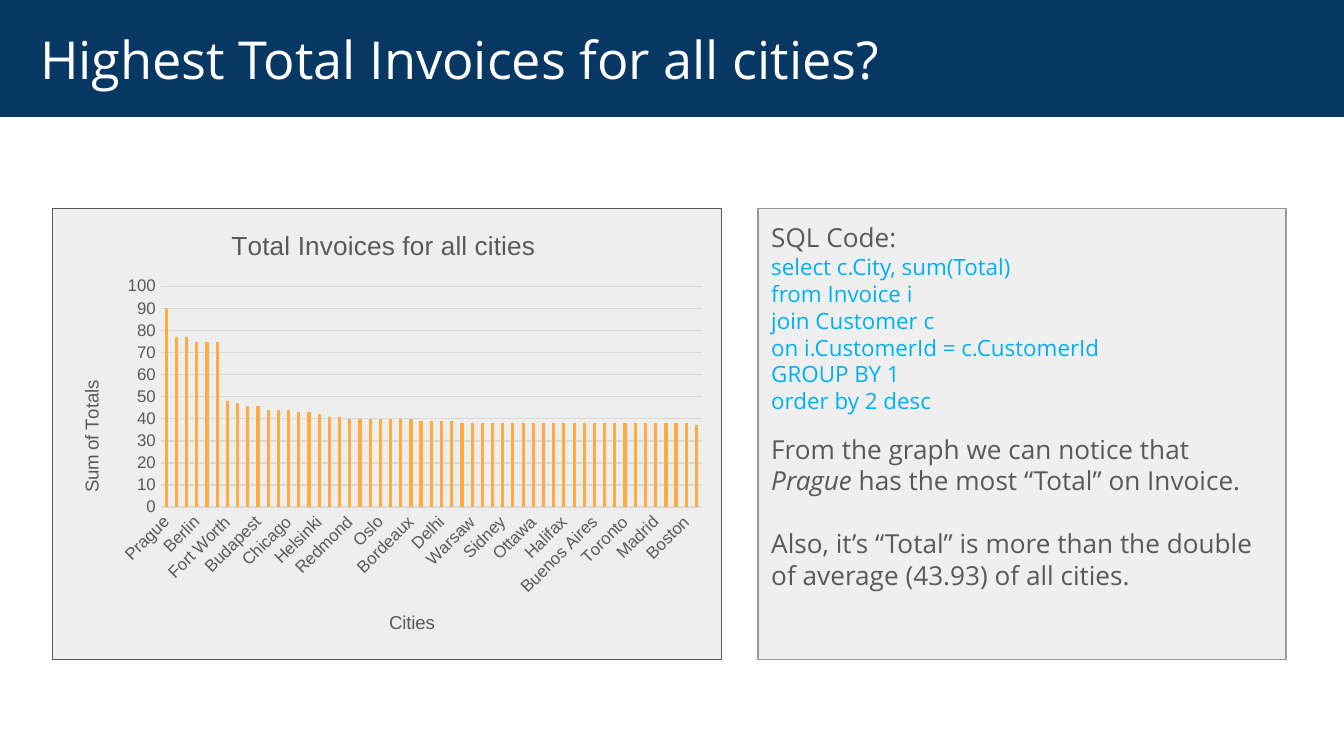
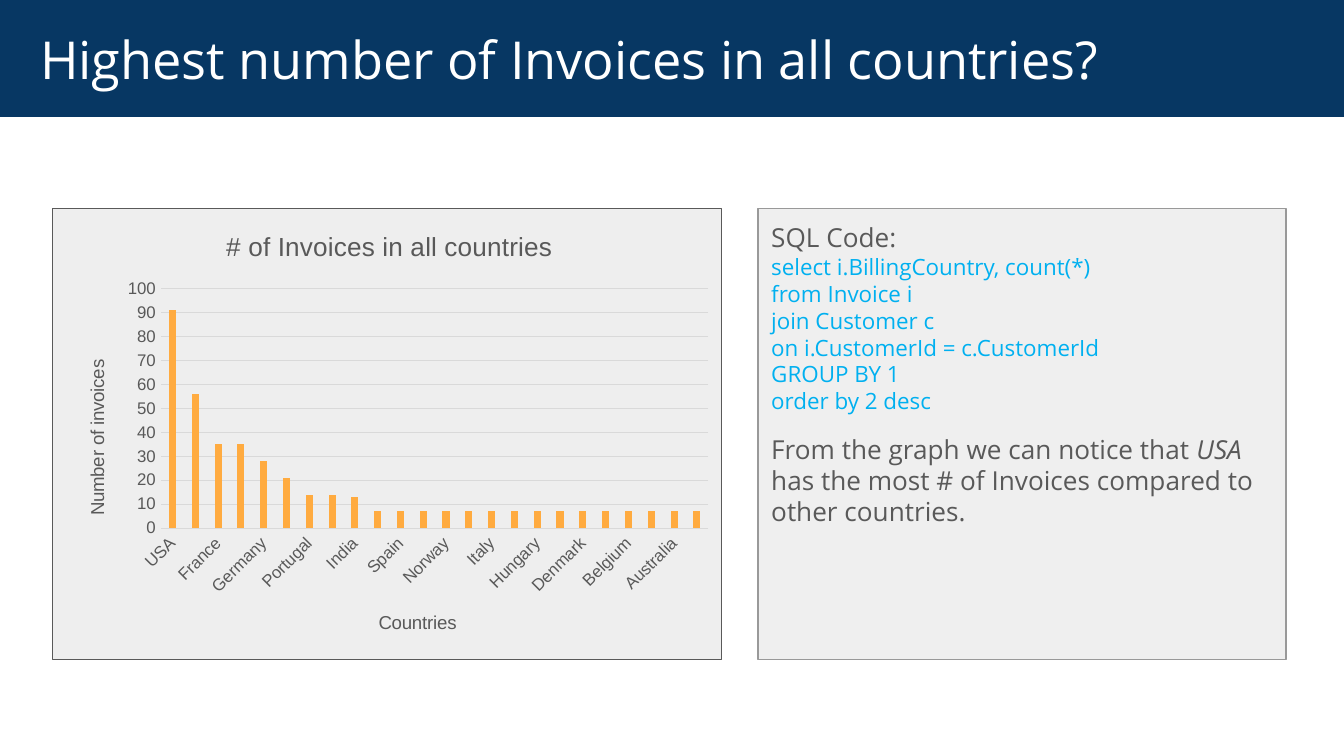
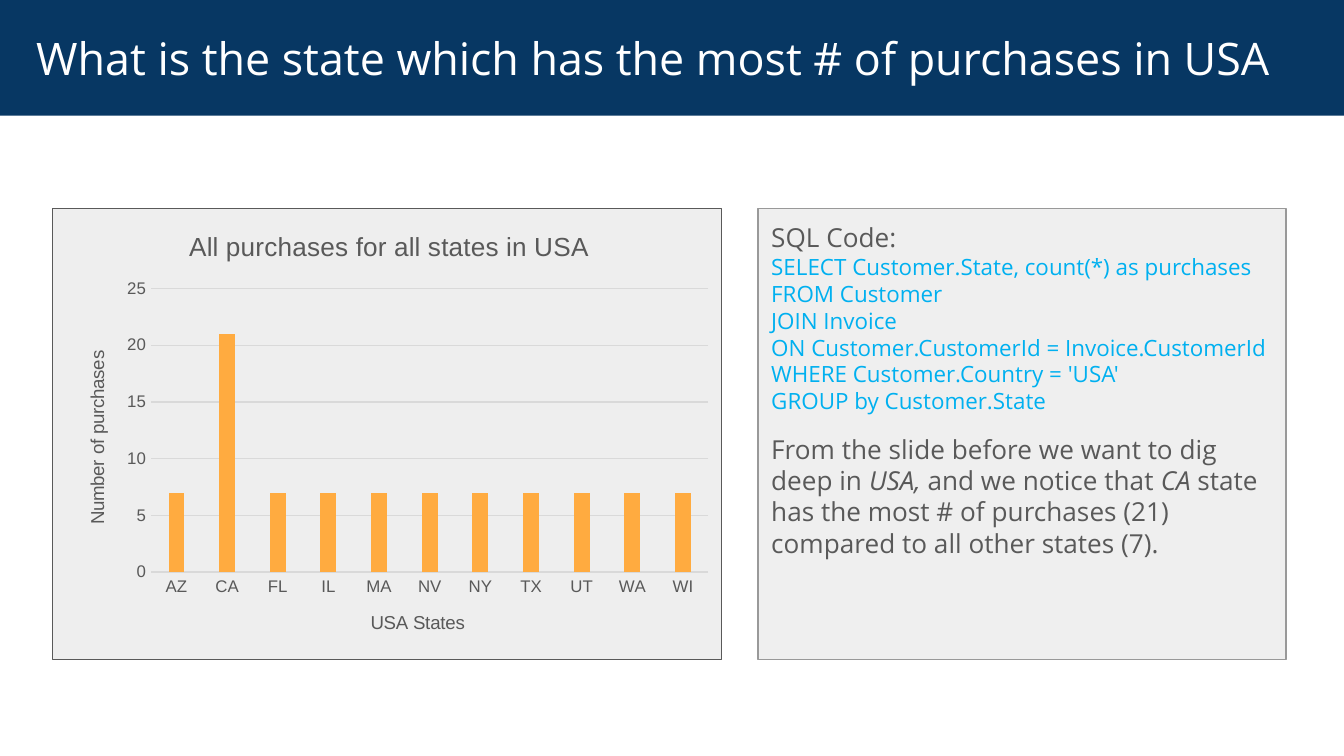
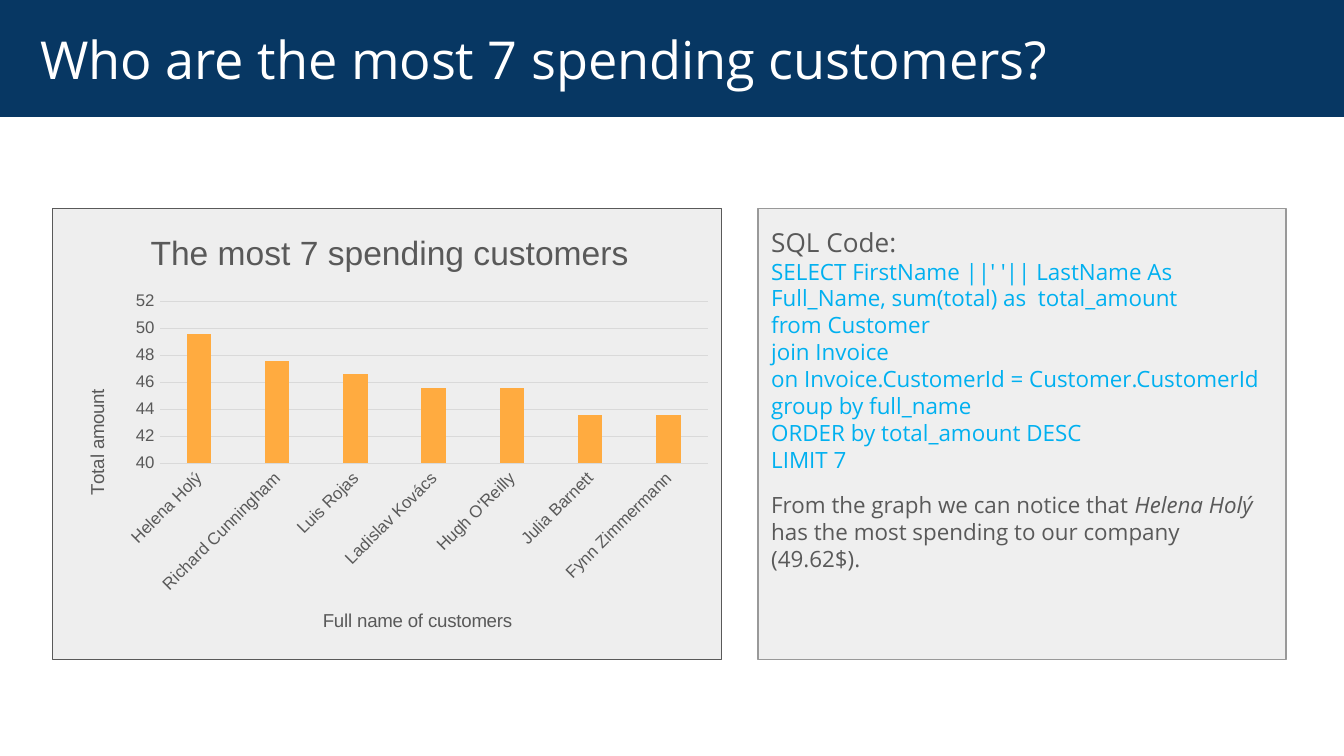
"""Builds four slides, each pairing an invoice column chart with its SQL query and finding."""
from lxml import etree
from pptx import Presentation
from pptx.chart.data import CategoryChartData
from pptx.dml.color import RGBColor
from pptx.enum.chart import XL_CHART_TYPE, XL_TICK_MARK
from pptx.enum.shapes import MSO_SHAPE
from pptx.enum.text import MSO_ANCHOR, PP_ALIGN
from pptx.oxml import parse_xml
from pptx.oxml.ns import nsdecls, qn
from pptx.util import Inches, Pt

COLUMNS = XL_CHART_TYPE.COLUMN_CLUSTERED
NO_TICKS = XL_TICK_MARK.NONE
RECTANGLE = MSO_SHAPE.RECTANGLE
MIDDLE, TOP = MSO_ANCHOR.MIDDLE, MSO_ANCHOR.TOP
LEFT = PP_ALIGN.LEFT

COLORS = {
    "band": "073763", "title": "FFFFFF", "text": "595959", "code": "00B0F0",
    "chart_panel": "EEEEEE", "text_panel": "EFEFEF", "text_border": "999999",
    "grid": "D9D9D9", "column": "FFAB40",
}
HEADING_FONT, CHART_FONT = "Open Sans", "Arial"
SLIDE_WIDTH, SLIDE_HEIGHT = 10, 10 * 9 / 16
PANEL_TOP, PANEL_HEIGHT = 1.55, 3.36
CHART_PANEL_LEFT, CHART_PANEL_WIDTH = 0.39, 4.98
CHART_WIDTH = 4.93
TEXT_PANEL_LEFT, TEXT_PANEL_WIDTH = 5.64, 3.93

CITIES = [
    "Prague", "Paris", "Mountain View", "Berlin", "S\u221a\u00a3o Paulo", "London",
    "Fort Worth", "Santiago", "Dublin", "Budapest", "Salt Lake City", "Frankfurt", "Chicago",
    "Vienne", "Madison", "Helsinki", "Dijon", "Amsterdam", "Redmond", "Lisbon",
    "S\u221a\u00a3o Jos\u221a\u00a9 dos Campos", "Oslo", "Orlando", "Montr\u221a\u00a9al",
    "Bordeaux", "Vancouver", "Stockholm", "Delhi", "Cupertino", "Winnipeg", "Warsaw",
    "Tucson", "Stuttgart", "Sidney", "Rome", "Porto", "Ottawa", "New York", "Lyon",
    "Halifax", "Edmonton", "Copenhagen", "Buenos Aires", "Bras\u221a\u2260lia",
    "Yellowknife", "Toronto", "Rio de Janeiro", "Reno", "Madrid", "Edinburgh ", "Brussels",
    "Boston", "Bangalore",
]
CITY_TOTALS = ([90, 77, 77, 75, 75, 75, 48, 47, 46, 46, 44, 44, 44, 43, 43, 42, 41, 41]
               + [40] * 7 + [39] * 4 + [38] * 23 + [37])
COUNTRIES = [
    "USA", "Canada", "France", "Brazil", "Germany", "United Kingdom", "Portugal",
    "Czech Republic", "India", "Sweden", "Spain", "Poland", "Norway", "Netherlands",
    "Italy", "Ireland", "Hungary", "Finland", "Denmark", "Chile", "Belgium", "Austria",
    "Australia", "Argentina",
]
COUNTRY_COUNTS = [91, 56, 35, 35, 28, 21, 14, 14, 13] + [7] * 15
STATES = ["AZ", "CA", "FL", "IL", "MA", "NV", "NY", "TX", "UT", "WA", "WI"]
STATE_COUNTS = [7, 21] + [7] * 9
CUSTOMERS = ["Helena Holý", "Richard Cunningham", "Luis Rojas", "Ladislav Kovács",
             "Hugh O'Reilly", "Julia Barnett", "Fynn Zimmermann"]
CUSTOMER_TOTALS = [49.6, 47.6, 46.6, 45.6, 45.6, 43.6, 43.6]
JOIN_QUERY = ["from Invoice i", "join Customer c", "on i.CustomerId = c.CustomerId",
              "GROUP BY 1", "order by 2 desc"]

SLIDES = [
    {
        "title": "Highest Total Invoices for all cities?",
        "query": ["select c.City, sum(Total)"] + JOIN_QUERY,
        "finding": ["From the graph we can notice that *Prague* has the most “Total” on Invoice.",
                    "Also, it’s “Total” is more than the double of average (43.93) "
                    "of all cities."],
        "chart_left": 0.39, "categories": CITIES, "values": CITY_TOTALS, "scale": (0, 100, 10),
        "chart_title": ("Total Invoices for all cities", 26.3, 3.5),
        "category_title": ("Cities", 50.3, 88.2), "value_title": ("Sum of Totals", 3.6, 37.4),
        "plot": (16.4, 17.3, 81.6, 48.9),
    },
    {
        "title": "Highest number of Invoices in all countries?",
        "query": ["select i.BillingCountry, count(*)"] + JOIN_QUERY,
        "finding": ["From the graph we can notice that *USA* has the most # of Invoices "
                    "compared to other countries."],
        "categories": COUNTRIES, "values": COUNTRY_COUNTS, "scale": (0, 100, 10),
        "chart_title": ("# of Invoices in all countries", 24.7, 3.7),
        "category_title": ("Countries", 47.9, 88.2),
        "value_title": ("Number of invoices", 3.6, 32.8),
        "plot": (15.6, 17.8, 82.6, 53.1),
    },
    {
        "title": "What is the state which has the most # of purchases in USA",
        "title_size": 24, "title_inset": 0.27, "band_top": -0.01,
        "query": ["SELECT Customer.State, count(*) as purchases", "FROM Customer",
                  "JOIN Invoice", "ON Customer.CustomerId = Invoice.CustomerId",
                  "WHERE Customer.Country = 'USA'", "GROUP by Customer.State"],
        "finding": ["From the slide before we want to dig deep in *USA,* and we notice that "
                    "*CA* state has the most # of purchases (21) compared to all other "
                    "states (7)."],
        "categories": STATES, "values": STATE_COUNTS, "scale": (0, 25, 5),
        "chart_title": ("All purchases for all states in USA", 19.1, 3.7),
        "category_title": ("USA States", 46.7, 88.2),
        "value_title": ("Number of purchases", 3.6, 30.8),
        "plot": (14.1, 17.8, 84.1, 62.8),
    },
    {
        "title": "Who are the most 7 spending customers?",
        "query": ["SELECT FirstName ||' '|| LastName As Full_Name, sum(total) as  total_amount",
                  "from Customer", "join Invoice",
                  "on Invoice.CustomerId = Customer.CustomerId", "group by full_name",
                  "ORDER by total_amount DESC", "LIMIT 7"],
        "finding": ["From the graph we can notice that *Helena Holý* has the most spending "
                    "to our company (49.62$)."],
        "finding_size": 12, "heading_spacing": 1.15,
        "categories": CUSTOMERS, "values": CUSTOMER_TOTALS, "scale": (40, 52, 2),
        "chart_title": ("The most 7 spending customers", 13.1, 3.6), "chart_title_size": 18,
        "category_title": ("Full name of customers", 39.5, 87.8),
        "value_title": ("Total amount", 3.6, 39.3),
        "plot": (15.4, 20.6, 82.7, 35.9),
    },
]


def color(name):
    return RGBColor.from_string(COLORS[name])


def style_font(font, name, size, color_name):
    font.name, font.size, font.bold = name, Pt(size), False
    font.color.rgb = color(color_name)


def add_panel(slide, left, top, width, height, fill, border=None):
    shape = slide.shapes.add_shape(
        RECTANGLE, Inches(left), Inches(top), Inches(width), Inches(height))
    shape.shadow.inherit = False
    shape.fill.solid()
    shape.fill.fore_color.rgb = color(fill)
    if border:
        shape.line.color.rgb = color(border)
        shape.line.width = Pt(0.75)
    else:
        shape.line.fill.background()
    frame = shape.text_frame
    frame.word_wrap = True
    frame.margin_left = frame.margin_right = Inches(0.1)
    frame.margin_top = frame.margin_bottom = Inches(0.1)
    return shape


def add_title(slide, content):
    band = add_panel(slide, 0, content.get("band_top", 0), SLIDE_WIDTH, 0.87, "band")
    frame = band.text_frame
    frame.vertical_anchor = MIDDLE
    frame.margin_left = Inches(content.get("title_inset", 0.3))
    paragraph = frame.paragraphs[0]
    paragraph.alignment = LEFT
    paragraph.text = content["title"]
    style_font(paragraph.font, HEADING_FONT, content.get("title_size", 28), "title")


def add_query_panel(slide, content):
    panel = add_panel(slide, TEXT_PANEL_LEFT, PANEL_TOP, TEXT_PANEL_WIDTH, PANEL_HEIGHT,
                      "text_panel", "text_border")
    frame = panel.text_frame
    frame.vertical_anchor = TOP
    finding_size = content.get("finding_size", 14)
    lines = [("SQL Code:", 14, "text")]
    lines += [(line, 12, "code") for line in content["query"]]
    lines += [(line, finding_size, "text") for line in content["finding"]]
    last_query_line = len(content["query"])
    for index, (text, size, color_name) in enumerate(lines):
        paragraph = frame.paragraphs[0] if index == 0 else frame.add_paragraph()
        paragraph.alignment = LEFT
        style_font(paragraph.font, HEADING_FONT, size, color_name)
        if index == last_query_line:
            paragraph.space_after = Pt(10)
        if index > last_query_line + 1:
            paragraph.space_before = Pt(17)
        pieces = text.split("*") if index > last_query_line else [text]
        for position, piece in enumerate(pieces):
            run = paragraph.add_run()
            run.text = piece
            if position % 2:
                run.font.italic = True
    frame.paragraphs[0].line_spacing = content.get("heading_spacing", 1.0)


def make_layout(**percentages):
    """Return a manual chart layout from percentages of the chart area."""
    layout = parse_xml(f"<c:layout {nsdecls('c')}><c:manualLayout/></c:layout>")
    manual = layout[0]
    settings = [("layoutTarget", "inner")] if "w" in percentages else []
    settings += [("xMode", "edge"), ("yMode", "edge")]
    settings += [(key, f"{value / 100:.3f}") for key, value in percentages.items()]
    for tag, value in settings:
        etree.SubElement(manual, qn(f"c:{tag}")).set("val", value)
    return layout


def set_title(heading, title, text_size):
    text, x, y = title
    paragraph = heading.text_frame.paragraphs[0]
    paragraph.text = text
    style_font(paragraph.font, CHART_FONT, text_size, "text")
    element = heading._element
    for old_layout in element.findall(qn("c:layout")):
        element.remove(old_layout)
    element.find(qn("c:tx")).addnext(make_layout(x=x, y=y))


def add_chart(slide, content):
    add_panel(slide, CHART_PANEL_LEFT, PANEL_TOP, CHART_PANEL_WIDTH, PANEL_HEIGHT,
              "chart_panel", "text")
    data = CategoryChartData()
    data.categories = content["categories"]
    data.add_series("Series 1", content["values"])
    chart = slide.shapes.add_chart(
        COLUMNS, Inches(content.get("chart_left", 0.43)), Inches(PANEL_TOP),
        Inches(CHART_WIDTH), Inches(PANEL_HEIGHT), data).chart
    chart.has_legend = False
    chart.font.name, chart.font.size = CHART_FONT, Pt(10)
    set_title(chart.chart_title, content["chart_title"], content.get("chart_title_size", 14))

    plot = chart.plots[0]
    plot.vary_by_categories = False
    plot.gap_width, plot.overlap = 219, -27
    column_fill = plot.series[0].format.fill
    column_fill.solid()
    column_fill.fore_color.rgb = color("column")

    category_axis, value_axis = chart.category_axis, chart.value_axis
    for axis, title in ((category_axis, content["category_title"]),
                        (value_axis, content["value_title"])):
        axis.major_tick_mark = axis.minor_tick_mark = NO_TICKS
        style_font(axis.tick_labels.font, CHART_FONT, 9, "text")
        set_title(axis.axis_title, title, 10)
    label_body = category_axis._element.find(qn("c:txPr")).find(qn("a:bodyPr"))
    title_body = value_axis.axis_title.text_frame._txBody.find(qn("a:bodyPr"))
    for body, rotation in ((label_body, "-60000000"), (title_body, "-5400000")):
        body.set("rot", rotation)
        body.set("vert", "horz")
    value_axis.minimum_scale, value_axis.maximum_scale, value_axis.major_unit = content["scale"]
    value_axis.format.line.fill.background()
    for line in (category_axis.format.line, value_axis.major_gridlines.format.line):
        line.color.rgb = color("grid")
        line.width = Pt(0.75)

    plot_area = chart._chartSpace.chart.plotArea
    for old_layout in plot_area.findall(qn("c:layout")):
        plot_area.remove(old_layout)
    plot_area.insert(0, make_layout(**dict(zip("xywh", content["plot"]))))
    no_fill = (f"<c:spPr {nsdecls('c', 'a')}><a:noFill/>"
               "<a:ln><a:noFill/></a:ln></c:spPr>")
    plot_area.append(parse_xml(no_fill))
    chart._chartSpace.chart.addnext(parse_xml(no_fill))


presentation = Presentation()
presentation.slide_width, presentation.slide_height = Inches(SLIDE_WIDTH), Inches(SLIDE_HEIGHT)
for content in SLIDES:
    slide = presentation.slides.add_slide(presentation.slide_layouts[6])
    add_query_panel(slide, content)
    add_chart(slide, content)
    add_title(slide, content)
presentation.save("out.pptx")
